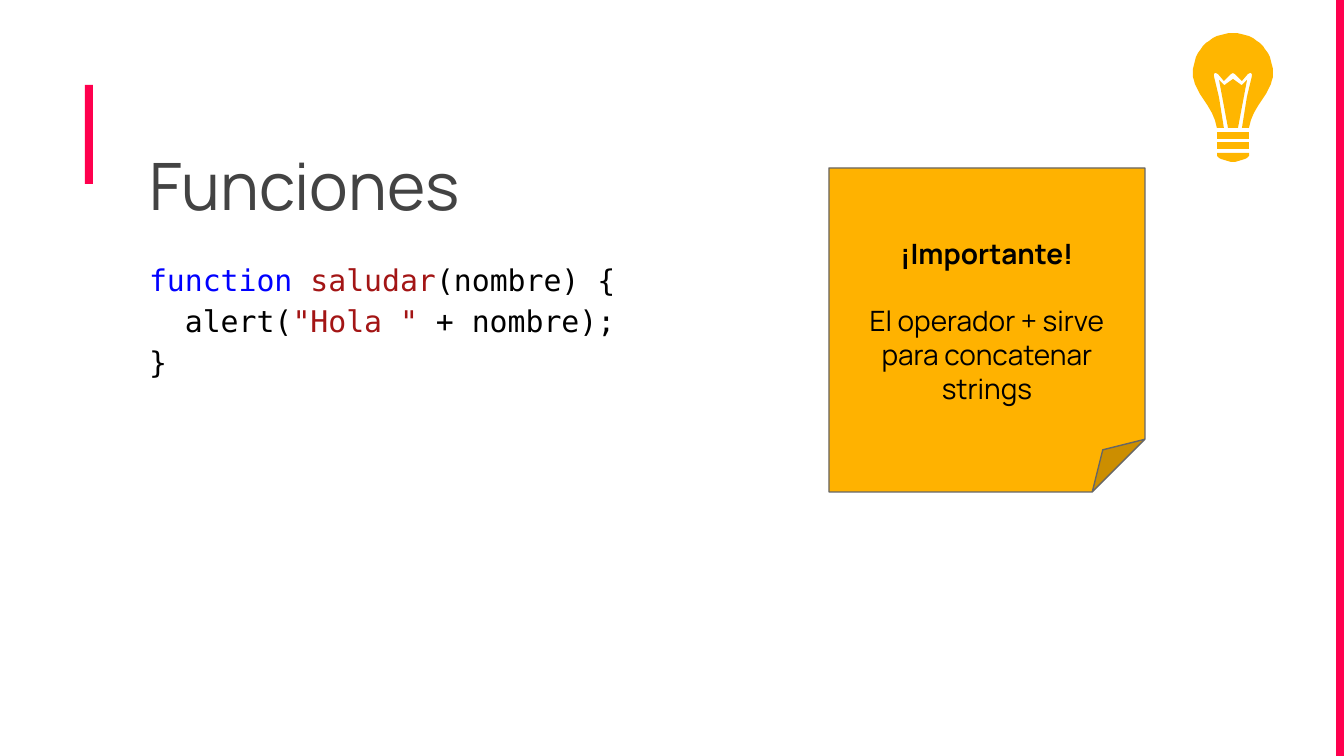
from math import cos, radians, sin

from pptx import Presentation
from pptx.dml.color import RGBColor
from pptx.enum.shapes import MSO_SHAPE
from pptx.enum.text import MSO_ANCHOR, PP_ALIGN
from pptx.util import Pt

RECTANGLE = MSO_SHAPE.RECTANGLE
FOLDED_CORNER = MSO_SHAPE.FOLDED_CORNER
TOP, MIDDLE = MSO_ANCHOR.TOP, MSO_ANCHOR.MIDDLE
CENTER = PP_ALIGN.CENTER

PINK = RGBColor(0xFF, 0x00, 0x4E)
BULB_YELLOW = RGBColor(0xFF, 0xB6, 0x00)
NOTE_YELLOW = RGBColor(0xFF, 0xB2, 0x00)
GRAY = RGBColor(0x43, 0x43, 0x43)
NOTE_LINE = RGBColor(0x66, 0x66, 0x66)
BLACK = RGBColor(0x00, 0x00, 0x00)
KEYWORD_BLUE = RGBColor(0x00, 0x00, 0xFF)
CODE_RED = RGBColor(0xA3, 0x15, 0x15)

SANS = "Manrope"
MONO = "DejaVu Sans Mono"
EMU_PER_PX = 914400 / 134.4
PAGE_WIDTH, PAGE_HEIGHT = 1344, 756
INSET = 13

CODE_LINES = [
    [("function ", KEYWORD_BLUE), ("saludar", CODE_RED), ("(nombre) {", BLACK)],
    [("  alert(", BLACK), ('"Hola "', CODE_RED), (" + nombre);", BLACK)],
    [("}", BLACK)],
]

BULB_CENTER, BULB_RADIUS = 40, 40
GLASS_ARC = [
    (round(BULB_RADIUS * sin(radians(angle))),
     round(BULB_RADIUS * (1 - cos(radians(angle)))))
    for angle in range(0, 100, 6)
]
GLASS = GLASS_ARC + [
    (39, 47), (38, 51), (36, 55), (33, 61), (29, 67), (25, 73), (21, 80),
    (18, 87), (16, 95), (9, 95), (14, 64), (19, 43), (19, 41), (18, 40),
    (17, 40), (15, 41), (9, 48), (2, 41), (0, 40),
]
FILAMENT = [(0, 46), (7, 51), (8, 52), (9, 52), (10, 51), (14, 47), (5, 95)]
UPPER_BAND = [(16, 99), (16, 106)]
LOWER_BAND = [(16, 109), (16, 116)]
CAP = [(16, 120), (16, 123), (14, 125), (12, 126), (2, 129)]


def px(length):
    return round(length * EMU_PER_PX)


def style_span(span, font, size, color, bold=False):
    span.font.name = font
    span.font.size = Pt(size)
    span.font.color.rgb = color
    span.font.bold = bold


def prepare_frame(frame, anchor=TOP):
    frame.word_wrap = True
    frame.vertical_anchor = anchor
    frame.margin_left = frame.margin_right = px(INSET)
    frame.margin_top = frame.margin_bottom = px(INSET)
    return frame


def add_text_box(page, left, top, width, height):
    box = page.shapes.add_textbox(px(left), px(top), px(width), px(height))
    return prepare_frame(box.text_frame)


def add_bar(page, left, top, width, height):
    bar = page.shapes.add_shape(RECTANGLE, px(left), px(top), px(width), px(height))
    bar.shadow.inherit = False
    bar.fill.solid()
    bar.fill.fore_color.rgb = PINK
    bar.line.fill.background()


def add_title(page, left, top, width, height):
    frame = add_text_box(page, left, top, width, height)
    frame.text = "Funciones"
    style_span(frame.paragraphs[0].runs[0], SANS, 35, GRAY)


def add_code(page, left, top, width, height):
    frame = add_text_box(page, left, top, width, height)
    frame.text = "\n".join("" for _ in CODE_LINES)
    for para, line in zip(frame.paragraphs, CODE_LINES):
        para.line_spacing = 1.15
        for text, color in line:
            span = para.add_run()
            span.text = text
            style_span(span, MONO, 16, color)


def add_bulb(page, left, top):
    for half in (UPPER_BAND, LOWER_BAND, CAP, FILAMENT, GLASS):
        outline = half + [(-x, y) for x, y in reversed(half)]
        points = [(px(left + BULB_CENTER + x), px(top + y)) for x, y in outline]
        builder = page.shapes.build_freeform(*points[0])
        builder.add_line_segments(points[1:], close=True)
        part = builder.convert_to_shape()
        part.shadow.inherit = False
        part.fill.solid()
        part.fill.fore_color.rgb = BULB_YELLOW
        part.line.fill.background()


def add_note(page, left, top, width, height):
    note = page.shapes.add_shape(FOLDED_CORNER, px(left), px(top), px(width), px(height))
    note.shadow.inherit = False
    note.fill.solid()
    note.fill.fore_color.rgb = NOTE_YELLOW
    note.line.color.rgb = NOTE_LINE
    note.line.width = Pt(0.75)
    frame = prepare_frame(note.text_frame, MIDDLE)
    frame.margin_top = px(INSET + 34)
    frame.text = "¡Importante!\nEl operador + sirve para concatenar strings"
    heading, body = frame.paragraphs
    body.space_before = Pt(18)
    for para, bold in ((heading, True), (body, False)):
        para.alignment = CENTER
        style_span(para.runs[0], SANS, 15, BLACK, bold)


def main():
    deck = Presentation()
    deck.slide_width, deck.slide_height = px(PAGE_WIDTH), px(PAGE_HEIGHT)
    page = deck.slides.add_slide(deck.slide_layouts[6])
    add_bar(page, 85, 85, 8, 99)
    add_bar(page, PAGE_WIDTH - 8, 0, 8, PAGE_HEIGHT)
    add_title(page, 136, 132, 1009, 126)
    add_code(page, 136, 243, 1009, 348)
    add_bulb(page, 1193, 33)
    add_note(page, 829, 168, 316, 324)
    deck.save("out.pptx")


if __name__ == "__main__":
    main()
